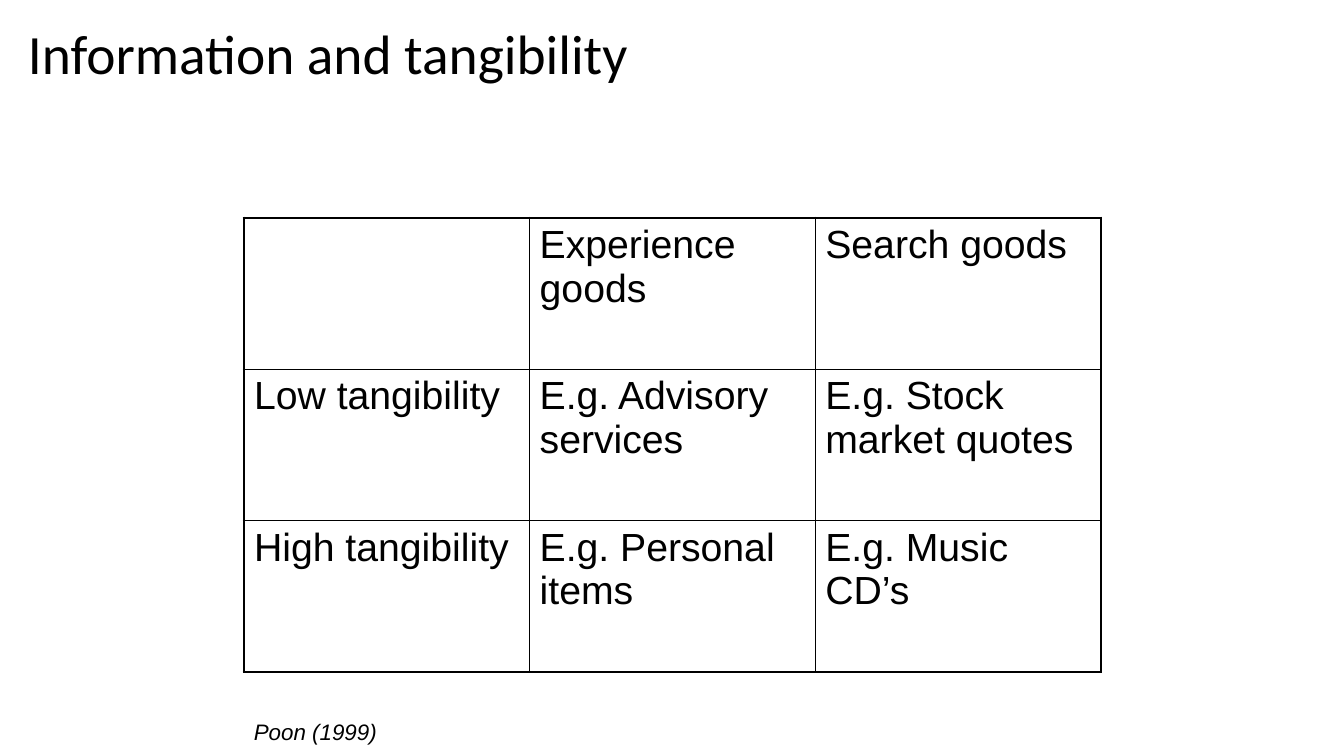
from lxml import etree
from pptx import Presentation
from pptx.dml.color import RGBColor
from pptx.enum.text import MSO_ANCHOR
from pptx.oxml.ns import qn
from pptx.util import Pt

TOP, MIDDLE = MSO_ANCHOR.TOP, MSO_ANCHOR.MIDDLE
EMU_PER_PX = 914400 / 100.8


class Theme:
    ink = RGBColor(0, 0, 0)
    title = dict(name="Calibri", size=Pt(39.6))
    cell = dict(name="Arial", size=Pt(28))
    source = dict(name="Arial", size=Pt(16), italic=True)
    outer, inner = Pt(2.25), Pt(1)


GOODS = [
    ["", "Experience goods", "Search goods"],
    ["Low tangibility", "E.g. Advisory services", "E.g. Stock market quotes"],
    ["High tangibility", "E.g. Personal items", "E.g. Music CD’s"],
]


def px(n):
    return round(n * EMU_PER_PX)


def write(tf, text, style):
    p = tf.paragraphs[0]
    r = p.add_run()
    r.text = text
    for name, value in style.items():
        setattr(r.font, name, value)
    r.font.color.rgb = Theme.ink
    return p


def add_text(s, box, text, style, anchor=TOP):
    tf = s.shapes.add_textbox(*map(px, box)).text_frame
    tf.word_wrap = True
    tf.vertical_anchor = anchor
    return write(tf, text, style)


def set_borders(cell, widths):
    tc_pr = cell._tc.get_or_add_tcPr()
    # Border elements come before the fill in a cell's properties
    for i, (side, width) in enumerate(widths.items()):
        ln = etree.Element(qn(f"a:ln{side}"), w=str(width))
        fill = etree.SubElement(ln, qn("a:solidFill"))
        etree.SubElement(fill, qn("a:srgbClr"), val=str(Theme.ink))
        tc_pr.insert(i, ln)


def add_title(s, box):
    p = add_text(s, box, "Information and tangibility", Theme.title, MIDDLE)
    p.line_spacing = 0.9


def add_goods_table(s, box, rows):
    n_rows, n_cols = len(rows), len(rows[0])
    table = s.shapes.add_table(n_rows, n_cols, *map(px, box)).table
    table.first_row = table.horz_banding = False
    for i, row in enumerate(rows):
        for j, text in enumerate(row):
            cell = table.cell(i, j)
            cell.fill.background()
            if text:
                write(cell.text_frame, text, Theme.cell)
            # Heavy frame outside, thin grid inside
            on_edge = dict(L=j == 0, R=j == n_cols - 1,
                           T=i == 0, B=i == n_rows - 1)
            set_borders(cell, {side: Theme.outer if edge else Theme.inner
                               for side, edge in on_edge.items()})


def build_slide(prs):
    s = prs.slides.add_slide(prs.slide_layouts[6])
    add_title(s, (18, 41, 1292, 32))
    add_goods_table(s, (244, 218, 857, 454), GOODS)
    # Citation under the table
    add_text(s, (244, 713, 235, 37), "Poon (1999)", Theme.source)


def main():
    prs = Presentation()
    prs.slide_width, prs.slide_height = px(1344), px(756)
    build_slide(prs)
    prs.save("out.pptx")


if __name__ == "__main__":
    main()
